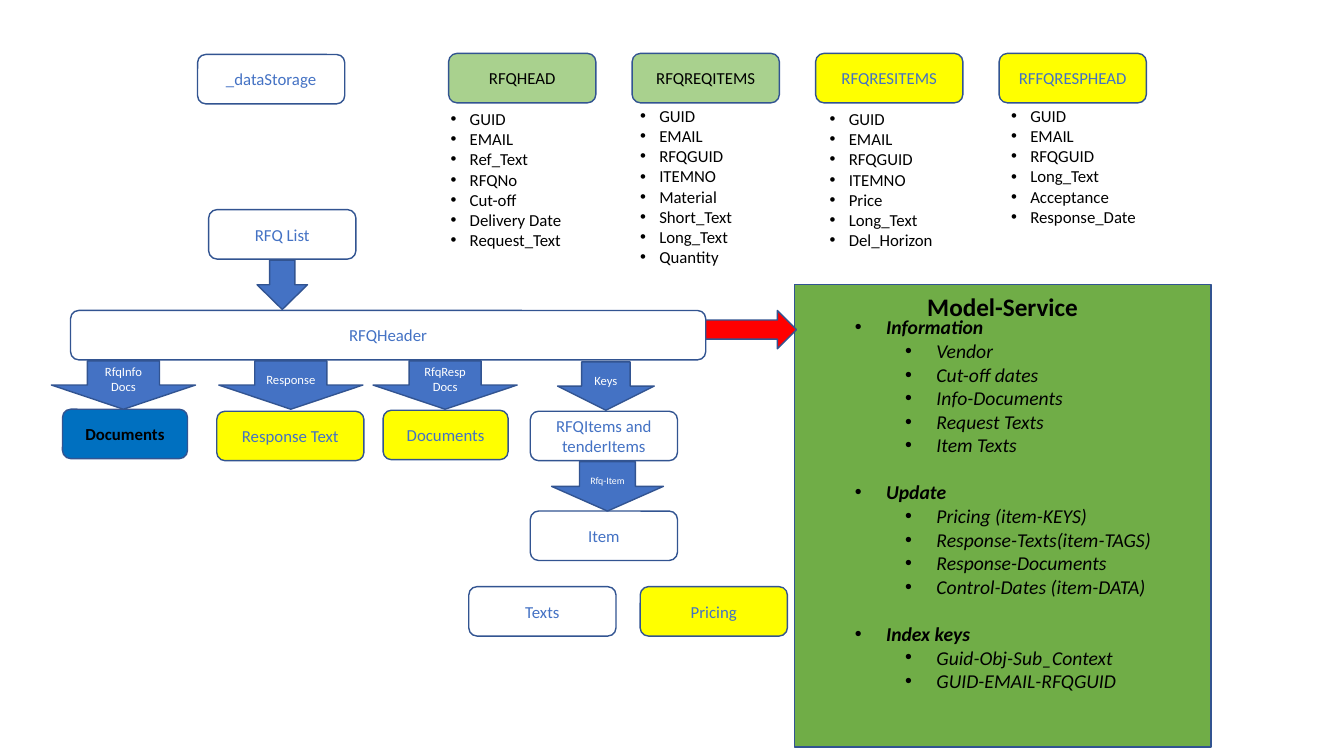
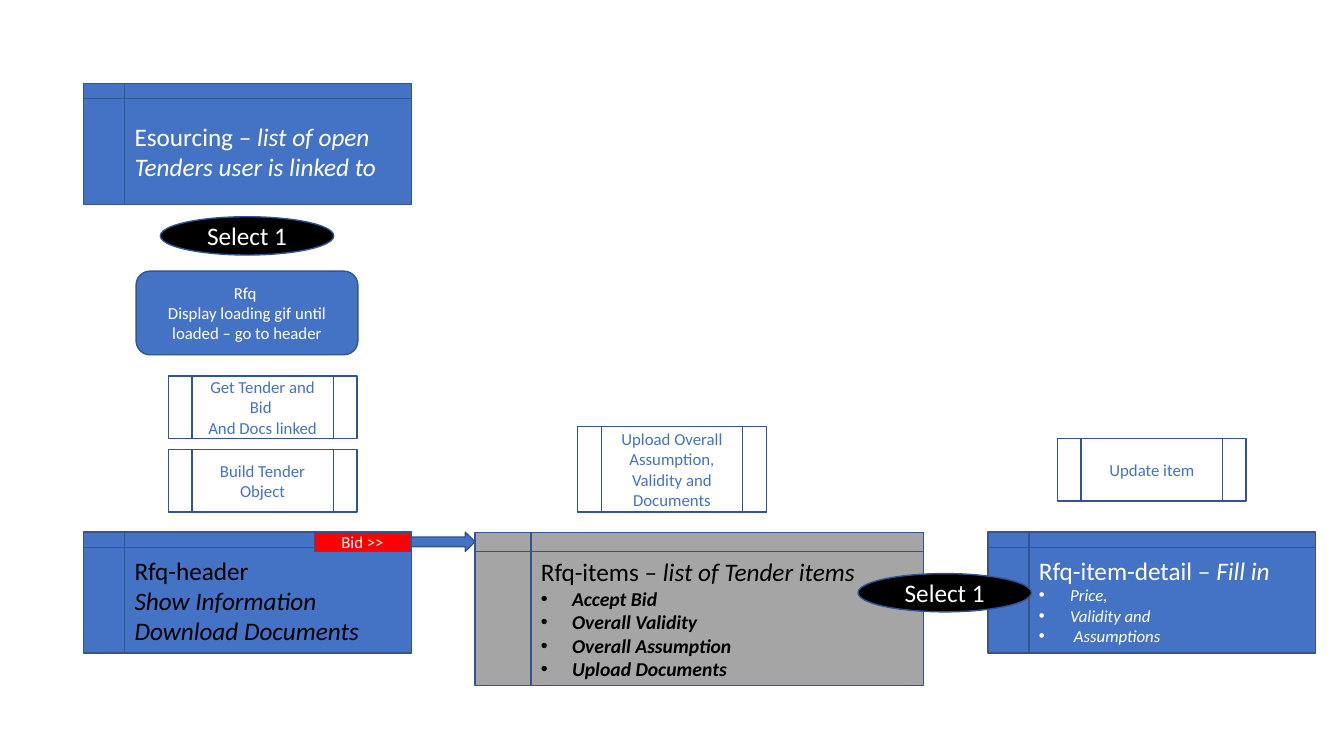
from lxml import etree
from pptx import Presentation
from pptx.dml.color import RGBColor
from pptx.enum.shapes import MSO_SHAPE
from pptx.enum.text import MSO_ANCHOR, MSO_AUTO_SIZE, PP_ALIGN
from pptx.oxml.ns import qn
from pptx.util import Inches, Pt

# Colours and font
FONT = "Calibri"
WHITE = RGBColor(0xFF, 0xFF, 0xFF)
BLACK = RGBColor(0x00, 0x00, 0x00)
BLUE = RGBColor(0x44, 0x72, 0xC4)
DEEP_BLUE = RGBColor(0x00, 0x70, 0xC0)
OUTLINE = RGBColor(0x32, 0x54, 0x91)
GREEN = RGBColor(0x70, 0xAD, 0x47)
PALE_GREEN = RGBColor(0xA9, 0xD1, 0x8E)
YELLOW = RGBColor(0xFF, 0xFF, 0x00)
RED = RGBColor(0xFF, 0x00, 0x00)
GRAY = RGBColor(0xA5, 0xA5, 0xA5)

# Shape kinds and text settings
RECT = MSO_SHAPE.RECTANGLE
ROUNDED = MSO_SHAPE.ROUNDED_RECTANGLE
OVAL = MSO_SHAPE.OVAL
DOWN = MSO_SHAPE.DOWN_ARROW
RIGHT = MSO_SHAPE.RIGHT_ARROW
STORAGE = MSO_SHAPE.FLOWCHART_INTERNAL_STORAGE
PROCESS = MSO_SHAPE.FLOWCHART_PREDEFINED_PROCESS
LEFT_ALIGN, CENTER = PP_ALIGN.LEFT, PP_ALIGN.CENTER
TOP, MIDDLE = MSO_ANCHOR.TOP, MSO_ANCHOR.MIDDLE
GROW = MSO_AUTO_SIZE.SHAPE_TO_FIT_TEXT

# Common sizes in inches
NODE_W, NODE_H = 1.46, 0.49
DOCS_W = 1.24
ARROW_W, ARROW_H = 1.43, 0.48
STORAGE_W, STORAGE_H = 3.25, 1.2
PROCESS_W, PROCESS_H = 1.87, 0.62
LIST_W = 1.82
HANG = 0.31

# Entity name, fill, text colour, list left, list top, fields
ENTITIES = [
    ("RFQHEAD", PALE_GREEN, BLACK, 4.37, 1.03,
     ["GUID", "EMAIL", "Ref_Text", "RFQNo", "Cut-off", "Delivery Date",
      "Request_Text"]),
    ("RFQREQITEMS", PALE_GREEN, BLACK, 6.25, 1.0,
     ["GUID", "EMAIL", "RFQGUID", "ITEMNO", "Material", "Short_Text",
      "Long_Text", "Quantity"]),
    ("RFQRESITEMS", YELLOW, BLUE, 8.13, 1.03,
     ["GUID", "EMAIL", "RFQGUID", "ITEMNO", "Price", "Long_Text",
      "Del_Horizon"]),
    ("RFFQRESPHEAD", YELLOW, BLUE, 9.93, 1.0,
     ["GUID", "EMAIL", "RFQGUID", "Long_Text", "Acceptance",
      "Response_Date"]),
]

SERVICES = {
    "Information": ["Vendor", "Cut-off dates", "Info-Documents",
                    "Request Texts", "Item Texts"],
    "Update": ["Pricing (item-KEYS)", "Response-Texts(item-TAGS)",
               "Response-Documents", "Control-Dates (item-DATA)"],
    "Index keys": ["Guid-Obj-Sub_Context", "GUID-EMAIL-RFQGUID"],
}


def set_bullet(paragraph, indent, hang):
    """Hang a round bullet before the text, which starts at indent."""
    properties = paragraph._p.get_or_add_pPr()
    properties.set("marL", str(Inches(indent)))
    properties.set("indent", str(-Inches(hang)))
    etree.SubElement(properties, qn("a:buFont")).set("typeface", "Arial")
    etree.SubElement(properties, qn("a:buChar")).set("char", "•")


def add_text(frame, text, *, size=12, color=BLACK, bold=False, italic=False,
             align=LEFT_ALIGN, level=0, indent=None, hang=HANG, before=0,
             italic_tail=""):
    """Add one paragraph, using the frame's first one if it is still empty."""
    paragraph = frame.add_paragraph() if frame.text else frame.paragraphs[0]
    paragraph.alignment = align
    paragraph.level = level
    if before:
        paragraph.space_before = Pt(before)
    if indent is not None:
        set_bullet(paragraph, indent, hang)
    for words, slanted in ((text, italic), (italic_tail, True)):
        if words:
            run = paragraph.add_run()
            run.text = words
            font = run.font
            font.name, font.size = FONT, Pt(size)
            font.bold, font.italic = bold, slanted
            font.color.rgb = color


def add_block(slide, kind, left, top, width, height, fill, lines=(),
              anchor=MIDDLE, **text_format):
    """Add an outlined shape with centred lines; return its text frame."""
    block = slide.shapes.add_shape(kind, Inches(left), Inches(top),
                                   Inches(width), Inches(height))
    block.shadow.inherit = False
    if fill is None:
        block.fill.background()
    else:
        block.fill.solid()
        block.fill.fore_color.rgb = fill
    block.line.color.rgb = OUTLINE
    block.line.width = Pt(1)
    frame = block.text_frame
    frame.word_wrap = True
    frame.vertical_anchor = anchor
    for line in lines:
        add_text(frame, line, align=CENTER, **text_format)
    return frame


def add_node(slide, label, left, top, fill=WHITE, color=BLUE, width=NODE_W,
             bold=False):
    add_block(slide, ROUNDED, left, top, width, NODE_H, fill, [label],
              color=color, bold=bold)


def add_down_arrow(slide, lines, left, top, width=ARROW_W, height=ARROW_H,
                   size=9):
    add_block(slide, DOWN, left, top, width, height, BLUE, lines,
              size=size, color=WHITE)


def add_process(slide, lines, left, top, height=PROCESS_H):
    add_block(slide, PROCESS, left, top, PROCESS_W, height, None, lines,
              color=BLUE)


def add_storage(slide, title, left, top, fill=BLUE, color=WHITE,
                width=STORAGE_W, height=STORAGE_H, italic_tail=""):
    frame = add_block(slide, STORAGE, left, top, width, height, fill)
    add_text(frame, title, size=18, color=color, italic_tail=italic_tail)
    return frame


def add_list_frame(slide, left, top, width, height):
    frame = slide.shapes.add_textbox(Inches(left), Inches(top), Inches(width),
                                     Inches(height)).text_frame
    frame.word_wrap = True
    frame.auto_size = GROW
    return frame


def add_model_service(slide):
    panel = add_block(slide, RECT, 7.88, 2.82, 4.13, 4.59, GREEN, anchor=TOP)
    panel.margin_top = Inches(0.07)
    add_text(panel, "Model-Service", size=18, bold=True, align=CENTER)

    services = add_list_frame(slide, 8.38, 3.08, 3.81, 3.87)
    for index, (group, entries) in enumerate(SERVICES.items()):
        add_text(services, group, size=14, bold=True, italic=True,
                 indent=HANG, before=17 if index else 0)
        for entry in entries:
            add_text(services, entry, size=14, italic=True, level=1,
                     indent=0.81)


def build_data_model(slide):
    add_model_service(slide)

    # Entities with their fields
    add_node(slide, "_dataStorage", 1.96, 0.54)
    for index, (name, fill, color, left, top, fields) in enumerate(ENTITIES):
        add_node(slide, name, 4.45 + index * LIST_W, 0.53, fill, color)
        field_list = add_list_frame(slide, left, top, LIST_W,
                                    0.1 + 0.2 * len(fields))
        for field in fields:
            add_text(field_list, field, indent=0.19, hang=0.19)

    # List and header
    add_node(slide, "RFQ List", 2.07, 2.08)
    add_node(slide, "RFQHeader", 0.7, 3.08, width=6.3)
    add_down_arrow(slide, [], 2.55, 2.58, 0.5, NODE_H)
    add_block(slide, RIGHT, 7, 3.08, 0.9, 0.38, RED)

    # Branches below the header
    add_node(slide, "Documents", 0.62, 4.06, DEEP_BLUE, BLACK, DOCS_W, True)
    add_node(slide, "Response Text", 2.15, 4.08, YELLOW)
    add_node(slide, "Documents", 3.8, 4.07, YELLOW, width=DOCS_W)
    add_node(slide, "RFQItems and tenderItems", 5.26, 4.08)
    add_down_arrow(slide, ["RfqInfo", "Docs"], 0.51, 3.58)
    add_down_arrow(slide, ["Response"], 2.17, 3.58)
    add_down_arrow(slide, ["RfqResp", "Docs"], 3.7, 3.58)
    add_down_arrow(slide, ["Keys"], 5.53, 3.59, 0.96)

    # Item and its parts
    add_node(slide, "Item", 5.26, 5.07)
    add_down_arrow(slide, ["Rfq-Item"], 5.47, 4.58, 1.11, NODE_H, 7)
    add_node(slide, "Texts", 4.65, 5.82)
    add_node(slide, "Pricing", 6.35, 5.82, YELLOW)


def build_screen_flow(slide):
    # Screens
    add_storage(slide, "Esourcing – ", 0.83, 0.83,
                italic_tail="list of open Tenders user is linked to")
    header = add_storage(slide, "Rfq-header", 0.83, 5.28, color=BLACK)
    for action in ("Show Information", "Download Documents"):
        add_text(header, action, size=18, italic=True)
    items = add_storage(slide, "Rfq-items – ", 4.71, 5.28, GRAY, BLACK,
                        4.45, 1.52, "list of Tender items")
    for action in ("Accept Bid", "Overall Validity", "Overall Assumption",
                   "Upload Documents"):
        add_text(items, action, size=14, bold=True, italic=True, indent=HANG)
    detail = add_storage(slide, "Rfq-item-detail – ", 9.8, 5.28,
                         italic_tail="Fill in")
    for entry in ("Price,", "Validity and", " Assumptions"):
        add_text(detail, entry, color=WHITE, italic=True, indent=HANG)

    # Processing steps
    add_block(slide, ROUNDED, 1.35, 2.69, 2.2, 0.83, BLUE,
              ["Rfq ", "Display loading gif until loaded – go to header"],
              color=WHITE)
    add_process(slide, ["Get Tender and Bid ", "And Docs linked"], 1.67, 3.73)
    add_process(slide, ["Build Tender Object"], 1.67, 4.46)
    add_process(slide, ["Upload Overall Assumption, Validity and Documents"],
                5.73, 4.23, 0.85)
    add_process(slide, ["Update item"], 10.49, 4.35)

    # Transitions between screens
    for left, top in ((1.59, 2.15), (8.51, 5.69)):
        add_block(slide, OVAL, left, top, 1.72, 0.38, BLACK, ["Select 1"],
                  size=18, color=WHITE)
    add_block(slide, RECT, 3.12, 5.28, 0.95, 0.19, RED, ["Bid >>"],
              color=WHITE)
    add_block(slide, RIGHT, 4.08, 5.28, 0.63, 0.19, BLUE)


def main():
    deck = Presentation()
    deck.slide_width, deck.slide_height = Inches(13.33), Inches(7.5)
    blank = deck.slide_layouts[6]
    for build in (build_data_model, build_screen_flow):
        build(deck.slides.add_slide(blank))
    deck.save("out.pptx")


if __name__ == "__main__":
    main()
